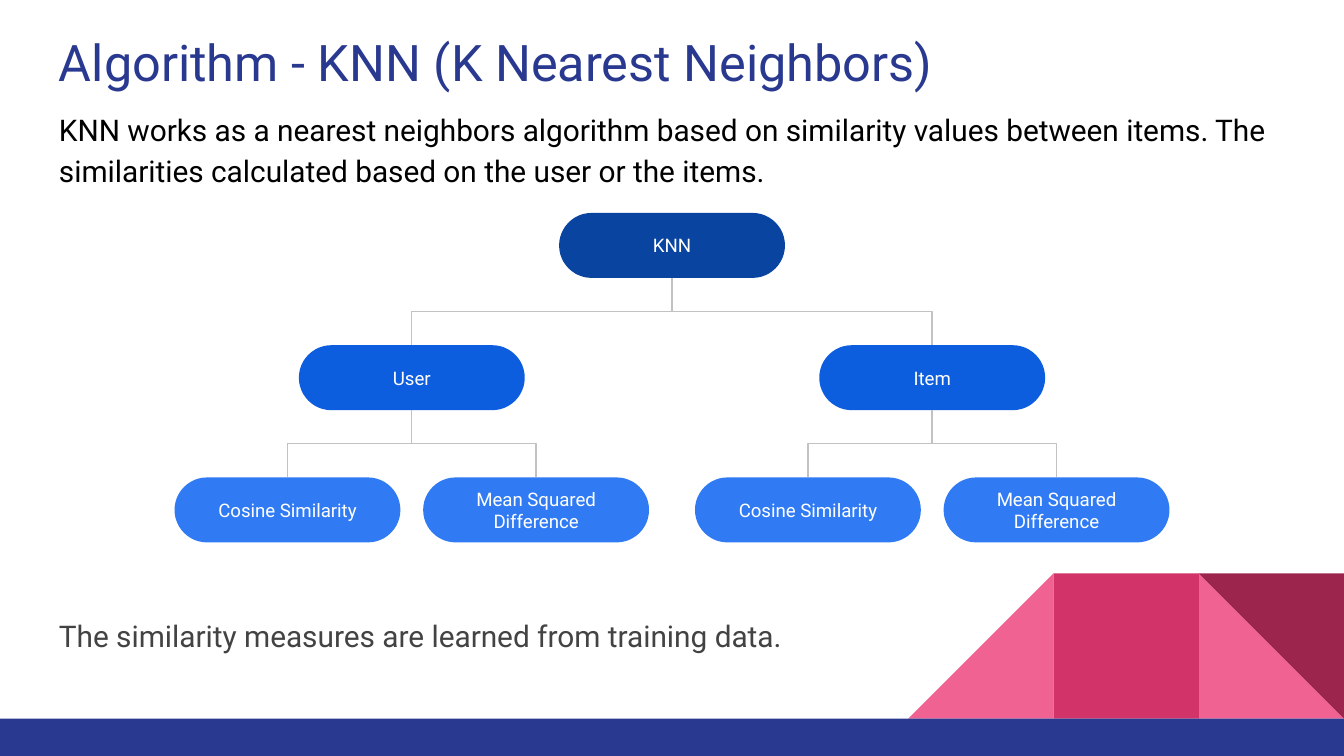
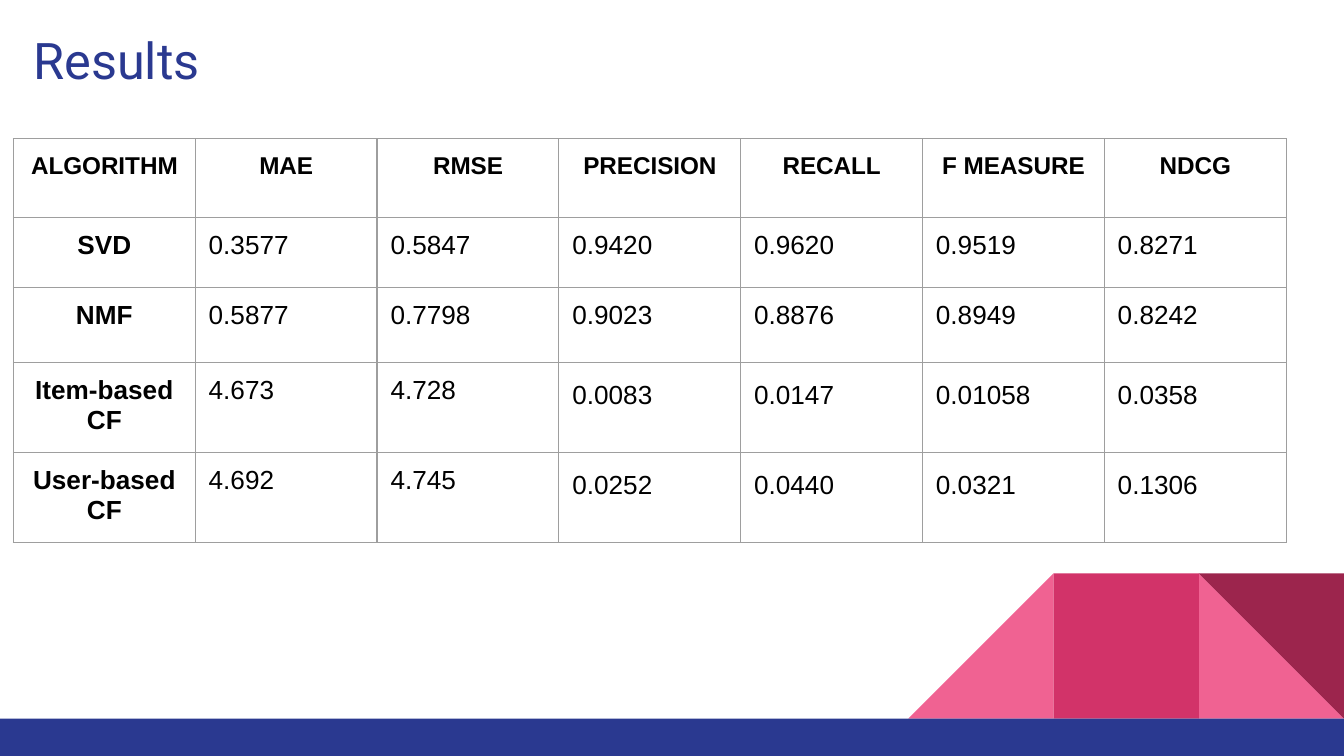
from dataclasses import dataclass

from lxml import etree
from pptx import Presentation
from pptx.dml.color import RGBColor
from pptx.enum.shapes import MSO_CONNECTOR, MSO_SHAPE
from pptx.enum.text import MSO_ANCHOR, PP_ALIGN
from pptx.oxml import parse_xml
from pptx.oxml.ns import nsdecls, qn
from pptx.util import Pt

RECT = MSO_SHAPE.RECTANGLE
RIGHT_TRIANGLE = MSO_SHAPE.RIGHT_TRIANGLE
PILL = MSO_SHAPE.ROUNDED_RECTANGLE
ELBOW = MSO_CONNECTOR.ELBOW
LEFT, CENTER = PP_ALIGN.LEFT, PP_ALIGN.CENTER
TOP, MIDDLE = MSO_ANCHOR.TOP, MSO_ANCHOR.MIDDLE
BOTTOM_SITE, TOP_SITE = 2, 0


@dataclass(frozen=True)
class Theme:
    font: str = "Roboto"
    table_font: str = "Arial"
    navy: str = "2A3990"
    pink: str = "F06292"
    rose: str = "D23369"
    wine: str = "9C254D"
    black: str = "000000"
    gray: str = "434343"
    white: str = "FFFFFF"
    branch: str = "C2C2C2"
    grid: str = "9E9E9E"
    levels: tuple = ("0944A1", "0D5DDF", "307BF3")
    title_size: float = 27
    body_size: float = 16
    node_size: float = 10
    header_size: float = 13
    cell_size: float = 14
    line_width: float = 0.75
    inset: float = 7.2
    loose: float = 1.15


@dataclass(frozen=True)
class Box:
    left: float
    top: float
    width: float
    height: float

    def lengths(self) -> tuple:
        return Pt(self.left), Pt(self.top), Pt(self.width), Pt(self.height)


@dataclass(frozen=True)
class Tile:
    column: int
    preset: int
    color: str
    rotation: float = 0


@dataclass(frozen=True)
class Node:
    label: str
    children: tuple = ()


THEME = Theme()
WIDTH, HEIGHT = 720, 405

# Footer: tiles of equal size standing on the band
GROUND = 385
TILE = 77.8
FOOTER_TILES = (
    Tile(1, RIGHT_TRIANGLE, THEME.pink),
    Tile(3, RIGHT_TRIANGLE, THEME.pink, rotation=270),
    Tile(2, RECT, THEME.rose),
    Tile(1, RIGHT_TRIANGLE, THEME.wine, rotation=180),
)

# Tree of similarity options
MEASURES = (Node("Cosine Similarity"), Node("Mean Squared Difference"))
KNN_TREE = Node("KNN", (Node("User", MEASURES), Node("Item", MEASURES)))
NODE_WIDTH, NODE_HEIGHT = 121, 34.8
TREE_TOP, LEVEL_PITCH = 114.1, 70.85
SPREADS = (139.4, 66.6)

# Results by algorithm
METRICS = ("ALGORITHM", "MAE", "RMSE", "PRECISION", "RECALL", "F MEASURE", "NDCG")
SCORES = (
    ("SVD", "0.3577", "0.5847", "0.9420", "0.9620", "0.9519", "0.8271"),
    ("NMF", "0.5877", "0.7798", "0.9023", "0.8876", "0.8949", "0.8242"),
    ("Item-based CF", "4.673", "4.728", "0.0083", "0.0147", "0.01058", "0.0358"),
    ("User-based CF", "4.692", "4.745", "0.0252", "0.0440", "0.0321", "0.1306"),
)
COLUMN_WIDTH = 97.4
ROW_HEIGHTS = (42, 37.5, 40.4, 48.2, 48.2)
FIRST_CF_ROW, FIRST_LOOSE_COLUMN = 3, 3


def write(frame, text: str, *, size: float, color: str, font: str = THEME.font,
          bold: bool = False, align: int = LEFT, spacing: float = 1.0,
          before: float = 0) -> None:
    """Fill the first empty paragraph of the frame, or add one."""
    paragraph = frame.add_paragraph() if frame.text else frame.paragraphs[0]
    paragraph.alignment = align
    paragraph.line_spacing = spacing
    paragraph.space_before = Pt(before)
    run = paragraph.add_run()
    run.text = text
    run.font.name = font
    run.font.size = Pt(size)
    run.font.bold = bold
    run.font.color.rgb = RGBColor.from_string(color)


def prepare(frame, anchor: int):
    frame.word_wrap = True
    frame.vertical_anchor = anchor
    frame.margin_left = frame.margin_right = Pt(THEME.inset)
    frame.margin_top = frame.margin_bottom = Pt(THEME.inset)
    return frame


def add_text_frame(slide, box: Box):
    return prepare(slide.shapes.add_textbox(*box.lengths()).text_frame, TOP)


def add_filled(shapes, preset: int, box: Box, color: str):
    shape = shapes.add_shape(preset, *box.lengths())
    shape.shadow.inherit = False
    shape.fill.solid()
    shape.fill.fore_color.rgb = RGBColor.from_string(color)
    shape.line.fill.background()
    return shape


def add_footer(slide) -> None:
    footer = slide.shapes.add_group_shape().shapes
    for tile in FOOTER_TILES:
        box = Box(WIDTH - tile.column * TILE, GROUND - TILE, TILE, TILE)
        add_filled(footer, tile.preset, box, tile.color).rotation = tile.rotation
    add_filled(footer, RECT, Box(0, GROUND, WIDTH, HEIGHT - GROUND), THEME.navy)


def add_titled_slide(deck, title: str, left: float, top: float):
    slide = deck.slides.add_slide(deck.slide_layouts[6])
    add_footer(slide)
    frame = add_text_frame(slide, Box(left, top, 671, 47.5))
    write(frame, title, size=THEME.title_size, color=THEME.navy)
    return slide


def add_branch(slide, parent, child) -> None:
    """Elbow that leaves the parent downwards and enters the child from above."""
    start_x, start_y = parent.left + parent.width // 2, parent.top + parent.height
    end_x, end_y = child.left + child.width // 2, child.top
    branch = slide.shapes.add_connector(ELBOW, start_x, start_y, end_x, end_y)
    branch.begin_connect(parent, BOTTOM_SITE)
    branch.end_connect(child, TOP_SITE)
    branch.line.color.rgb = RGBColor.from_string(THEME.branch)
    branch.line.width = Pt(THEME.line_width)
    properties = branch._element.spPr
    etree.SubElement(properties, qn("a:effectLst"))

    # The elbow is stored sideways, turned about its centre
    drop, reach = end_y - start_y, abs(end_x - start_x)
    branch.left = (start_x + end_x - drop) // 2
    branch.top = (start_y + end_y - reach) // 2
    branch.width, branch.height = drop, reach
    goes_right = end_x > start_x
    properties.xfrm.rot = 270 if goes_right else 90
    properties.xfrm.flipH = goes_right
    properties.xfrm.flipV = False


def add_tree(slide, node: Node, center: float, level: int = 0):
    box = Box(center - NODE_WIDTH / 2, TREE_TOP + level * LEVEL_PITCH,
              NODE_WIDTH, NODE_HEIGHT)
    pill = add_filled(slide.shapes, PILL, box, THEME.levels[level])
    pill.adjustments[0] = 0.5
    write(prepare(pill.text_frame, MIDDLE), node.label, size=THEME.node_size,
          color=THEME.white, align=CENTER)
    for side, child in zip((-1, 1), node.children):
        child_pill = add_tree(slide, child, center + side * SPREADS[level], level + 1)
        add_branch(slide, pill, child_pill)
    return pill


def add_cell_borders(cell) -> None:
    properties = cell._tc.get_or_add_tcPr()
    for position, edge in enumerate(("lnL", "lnR", "lnT", "lnB")):
        properties.insert(position, parse_xml(
            f'<a:{edge} {nsdecls("a")} w="{Pt(THEME.line_width)}"><a:solidFill>'
            f'<a:srgbClr val="{THEME.grid}"/></a:solidFill></a:{edge}>'))


def add_results_table(slide) -> None:
    rows = (METRICS, *SCORES)
    box = Box(7.2, 74.4, COLUMN_WIDTH * len(METRICS), sum(ROW_HEIGHTS))
    table = slide.shapes.add_table(len(rows), len(METRICS), *box.lengths()).table
    table.first_row = table.horz_banding = False
    for column in table.columns:
        column.width = Pt(COLUMN_WIDTH)
    for row, height in zip(table.rows, ROW_HEIGHTS):
        row.height = Pt(height)
    for r, values in enumerate(rows):
        for c, value in enumerate(values):
            cell = table.cell(r, c)
            cell.margin_left = cell.margin_right = Pt(THEME.inset)
            cell.margin_top = cell.margin_bottom = Pt(THEME.inset)
            cell.fill.background()
            add_cell_borders(cell)
            heading = r == 0 or c == 0
            loose = r >= FIRST_CF_ROW and c >= FIRST_LOOSE_COLUMN
            write(cell.text_frame, value, font=THEME.table_font, color=THEME.black,
                  size=THEME.cell_size if r else THEME.header_size, bold=heading,
                  align=CENTER if heading else LEFT,
                  spacing=THEME.loose if loose else 1.0)


def build_algorithm_slide(deck) -> None:
    slide = add_titled_slide(deck, "Algorithm - KNN (K Nearest Neighbors)", 24.5, 9.4)
    explanation = add_text_frame(slide, Box(24.5, 49.7, 671, 314.6))
    write(explanation,
          "KNN works as a nearest neighbors algorithm based on similarity values "
          "between items. The similarities calculated based on the user or the items.",
          size=THEME.body_size, color=THEME.black, spacing=THEME.loose)
    write(explanation, "The similarity measures are learned from training data.",
          size=THEME.body_size, color=THEME.gray, spacing=THEME.loose, before=227)
    add_tree(slide, KNN_TREE, WIDTH / 2)


def build_results_slide(deck) -> None:
    slide = add_titled_slide(deck, "Results", 10.8, 8.6)
    add_results_table(slide)


def main() -> None:
    deck = Presentation()
    deck.slide_width, deck.slide_height = Pt(WIDTH), Pt(HEIGHT)
    build_algorithm_slide(deck)
    build_results_slide(deck)
    deck.save("out.pptx")


if __name__ == "__main__":
    main()
